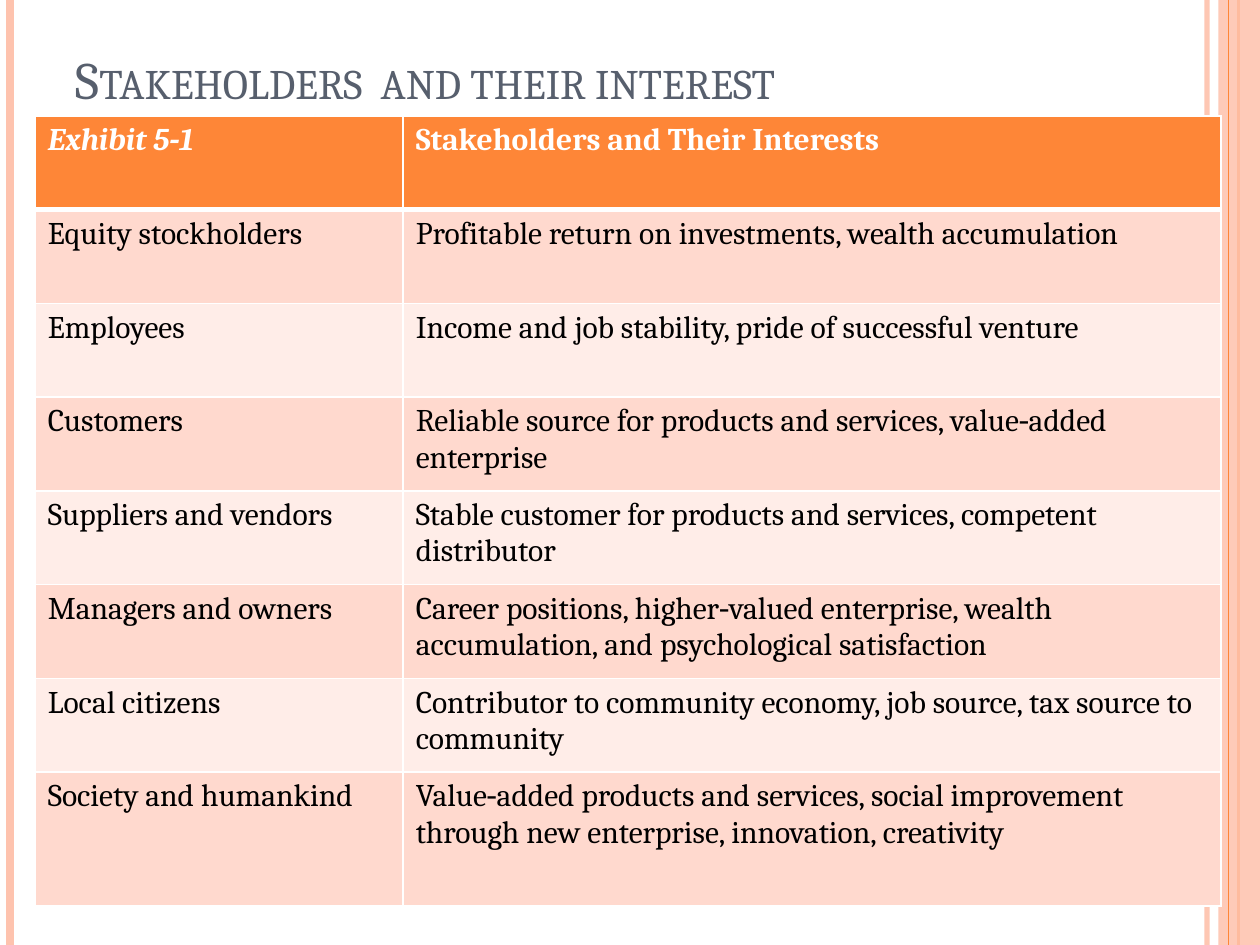
from dataclasses import dataclass

from lxml.etree import SubElement
from pptx import Presentation
from pptx.dml.color import RGBColor
from pptx.enum.shapes import MSO_CONNECTOR, MSO_SHAPE
from pptx.enum.text import MSO_ANCHOR, MSO_AUTO_SIZE, PP_ALIGN
from pptx.oxml.ns import qn
from pptx.util import Inches, Pt


@dataclass(frozen=True)
class Theme:
    font: str = "Cambria"
    title_size: int = 30
    table_size: int = 18
    title: str = "575F6D"
    accent: str = "FE8637"
    stripe: str = "FEC3AE"
    band_dark: str = "FFD9CE"
    band_light: str = "FFEDE8"
    white: str = "FFFFFF"
    black: str = "000000"


HEADER = ("Exhibit 5‑1", "Stakeholders and Their Interests")
INTERESTS = [
    ("Equity stockholders", "Profitable return on investments, wealth accumulation"),
    ("Employees", "Income and job stability, pride of successful venture"),
    ("Customers", "Reliable source for products and services, value‑added enterprise"),
    ("Suppliers and vendors",
     "Stable customer for products and services, competent distributor"),
    ("Managers and owners",
     "Career positions, higher‑valued enterprise, wealth accumulation, "
     "and psychological satisfaction"),
    ("Local citizens",
     "Contributor to community economy, job source, tax source to community"),
    ("Society and humankind",
     "Value‑added products and services, social improvement through new "
     "enterprise, innovation, creativity"),
]


def set_opacity(part, percent):
    color = next(part.iter(qn("a:srgbClr")))
    SubElement(color, qn("a:alpha"), val=str(percent * 1000))


class SlideBuilder:
    """Holds the theme and the slide being filled."""

    def __init__(self, deck, theme):
        self.theme = theme
        self.height = deck.slide_height
        self.slide = deck.slides.add_slide(deck.slide_layouts[5])

    def style(self, paragraph, size, color, bold=False, italic=False):
        font = paragraph.font
        font.name, font.size = self.theme.font, Pt(size)
        font.bold, font.italic = bold, italic
        font.color.rgb = RGBColor.from_string(color)

    def title(self, text, left, top, width, height):
        heading = self.slide.shapes.title
        heading.left, heading.top = left, top
        heading.width, heading.height = width, height
        frame = heading.text_frame
        frame.text = text
        frame.auto_size = MSO_AUTO_SIZE.NONE
        frame.vertical_anchor = MSO_ANCHOR.BOTTOM
        paragraph = frame.paragraphs[0]
        paragraph.alignment = PP_ALIGN.LEFT
        self.style(paragraph, self.theme.title_size, self.theme.title)
        paragraph.runs[0].font._element.set("cap", "small")

    def vertical_line(self, x, color, weight, opacity=100):
        rule = self.slide.shapes.add_connector(
            MSO_CONNECTOR.STRAIGHT, x, 0, x, self.height)
        rule.line.color.rgb = RGBColor.from_string(color)
        rule.line.width = Pt(weight)
        SubElement(rule._element.spPr, qn("a:effectLst"))
        if opacity < 100:
            set_opacity(rule._element.spPr, opacity)

    def side_band(self, left, width, color, opacity):
        band = self.slide.shapes.add_shape(
            MSO_SHAPE.RECTANGLE, left, 0, width, self.height)
        band.shadow.inherit = False
        band.fill.solid()
        band.fill.fore_color.rgb = RGBColor.from_string(color)
        band.line.fill.background()
        set_opacity(band._element.spPr, opacity)

    def cell(self, cell, text, fill, color, borders, bold=False, italic=False):
        """Fill one table cell; borders maps the sides L, R, T, B to points."""
        properties = cell._tc.get_or_add_tcPr()
        for side, weight in borders.items():
            edge = SubElement(properties, qn(f"a:ln{side}"), w=str(Pt(weight)))
            paint = SubElement(edge, qn("a:solidFill"))
            SubElement(paint, qn("a:srgbClr"), val=self.theme.white)
        cell.fill.solid()
        cell.fill.fore_color.rgb = RGBColor.from_string(fill)
        cell.text = text
        self.style(cell.text_frame.paragraphs[0], self.theme.table_size,
                   color, bold, italic)

    def table(self, header, rows, left, top, col_widths, row_heights):
        theme = self.theme
        table = self.slide.shapes.add_table(
            len(row_heights), len(col_widths), left, top,
            sum(col_widths), sum(row_heights)).table
        for column, width in zip(table.columns, col_widths):
            column.width = width
        for row, height in zip(table.rows, row_heights):
            row.height = height
        thin = dict.fromkeys("LRTB", 1)
        for c, text in enumerate(header):
            self.cell(table.cell(0, c), text, theme.accent, theme.white,
                      thin | {"B": 3}, bold=True, italic=c == 0)
        for r, row in enumerate(rows, start=1):
            fill = theme.band_dark if r % 2 else theme.band_light
            borders = thin | {"T": 3} if r == 1 else thin
            for c, text in enumerate(row):
                self.cell(table.cell(r, c), text, fill, theme.black, borders)


def main():
    deck = Presentation()
    deck.slide_width, deck.slide_height = Inches(10), Inches(7.5)
    theme = Theme()
    builder = SlideBuilder(deck, theme)

    builder.vertical_line(Inches(9.58), theme.stripe, 3, opacity=93)
    builder.vertical_line(Inches(0.08), theme.stripe, 4.5)
    builder.vertical_line(Inches(9.83), theme.accent, 1.5)
    builder.side_band(Inches(9.67), Inches(0.33), theme.stripe, opacity=87)
    builder.vertical_line(Inches(9.75), theme.accent, 0.75)

    builder.title("Stakeholders  and their interest",
                  Inches(0.5), 0, Inches(8.17), Inches(0.92))
    regular_row = Inches(5.21) // len(INTERESTS)
    builder.table(HEADER, INTERESTS, Inches(0.28), Inches(0.92),
                  [Inches(2.92), Inches(6.49)],
                  [regular_row] * len(INTERESTS) + [Inches(1.06)])
    deck.save("out.pptx")


if __name__ == "__main__":
    main()
